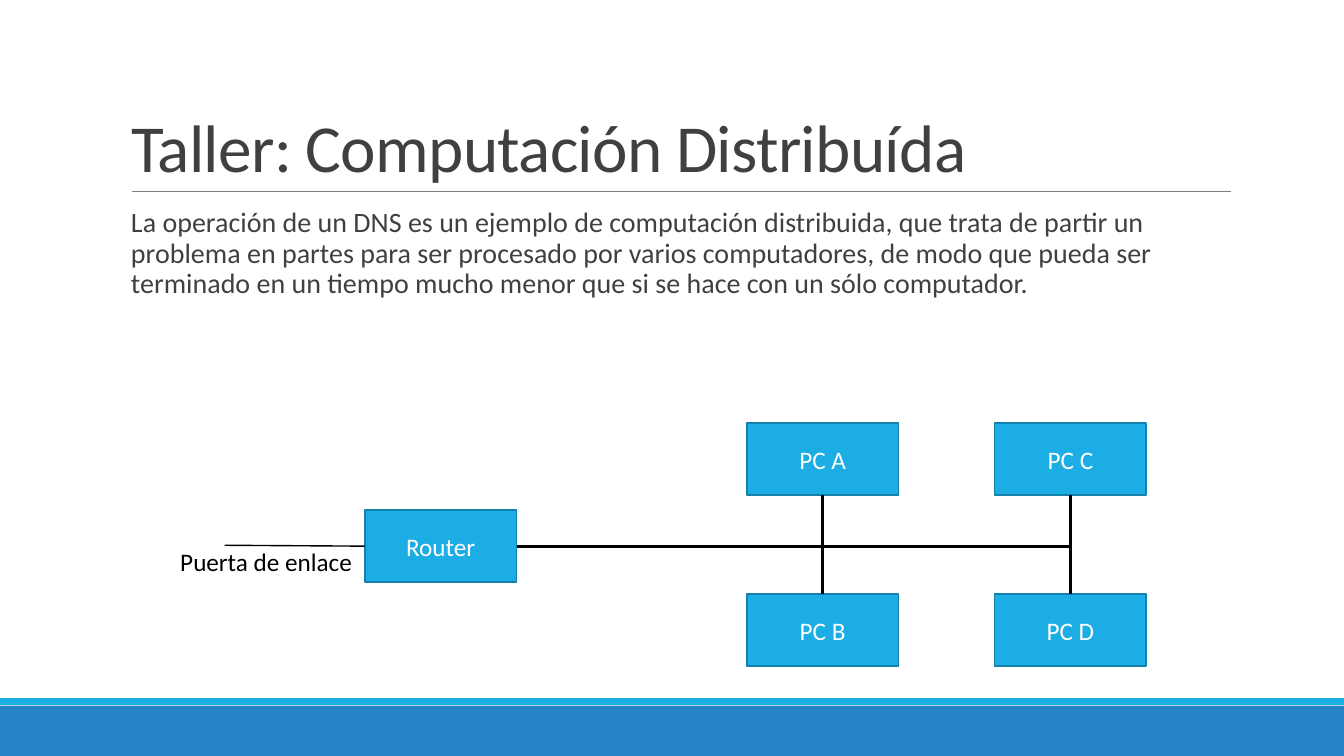
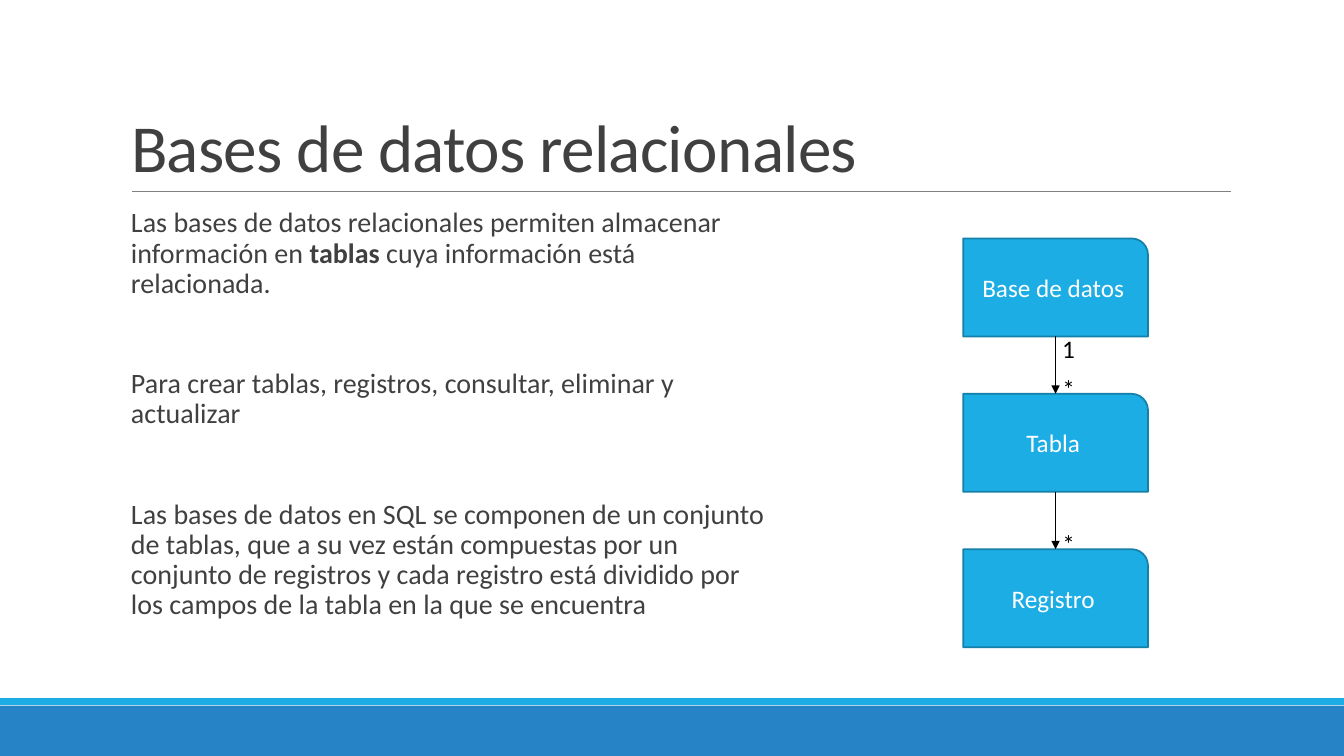
"""Builds two slides on distributed computing and relational databases."""
from dataclasses import dataclass
from typing import Any, Optional

from lxml import etree
from pptx import Presentation
from pptx.dml.color import RGBColor
from pptx.enum.shapes import MSO_CONNECTOR, MSO_SHAPE
from pptx.enum.text import MSO_ANCHOR, MSO_AUTO_SIZE, PP_ALIGN
from pptx.oxml.ns import qn
from pptx.shapes.autoshape import Shape
from pptx.shapes.connector import Connector
from pptx.slide import Slide
from pptx.util import Pt

RECT, ROUND1 = MSO_SHAPE.RECTANGLE, MSO_SHAPE.ROUND_1_RECTANGLE
STRAIGHT, ELBOW = MSO_CONNECTOR.STRAIGHT, MSO_CONNECTOR.ELBOW
TOP, MIDDLE, BOTTOM = MSO_ANCHOR.TOP, MSO_ANCHOR.MIDDLE, MSO_ANCHOR.BOTTOM
LEFT, CENTER = PP_ALIGN.LEFT, PP_ALIGN.CENTER
NO_FIT = MSO_AUTO_SIZE.NONE
SITE_TOP, SITE_LEFT, SITE_BOTTOM, SITE_RIGHT = range(4)

COLORS = {"band": "2683C6", "accent": "1CADE4", "edge": "1580A9", "rule": "808080",
          "text": "404040", "black": "000000", "white": "FFFFFF"}
WIDTH, HEIGHT = 960, 540
BODY_X, BODY_Y, BODY_H = 93.6, 145.5, 317


@dataclass(frozen=True)
class Style:
    """Format values for the frame, paragraphs and runs of a text."""
    color: str
    font: dict[str, Any]
    para: dict[str, Any]
    frame: dict[str, Any]


@dataclass(frozen=True)
class Box:
    """A filled box with centred text."""
    text: str
    x: float
    y: float
    w: float
    h: float
    kind: Any = RECT


@dataclass(frozen=True)
class Note:
    """A text box; each paragraph is a list of (text, bold) runs."""
    paras: list[list[tuple[str, bool]]]
    x: float
    y: float
    w: float
    h: float
    style: Style


NO_MARGINS = {"margin_left": 0, "margin_right": 0}
TITLE = Style("text", {"name": "Calibri", "size": Pt(48)},
              {"alignment": LEFT, "line_spacing": 0.85},
              {"vertical_anchor": BOTTOM, "word_wrap": True, "auto_size": NO_FIT})
BODY = Style("text", {"name": "Calibri", "size": Pt(20)},
             {"alignment": LEFT, "line_spacing": 0.9, "space_before": Pt(48), "space_after": Pt(2)},
             {"vertical_anchor": TOP, "word_wrap": True, **NO_MARGINS})
BOX = Style("white", {"name": "Calibri", "size": Pt(18)}, {"alignment": CENTER},
            {"vertical_anchor": MIDDLE, "word_wrap": True})
LABEL = Style("black", BOX.font, {"alignment": LEFT},
              {"vertical_anchor": TOP, "word_wrap": False})
MARK = Style("black", BOX.font, {"alignment": CENTER},
             {"vertical_anchor": TOP, "word_wrap": True, **NO_MARGINS})


def rgb(name: str) -> RGBColor:
    """Return the named colour."""
    return RGBColor.from_string(COLORS[name])


def apply(obj: Any, values: dict[str, Any]) -> None:
    """Set each format value on the object."""
    for key, value in values.items():
        setattr(obj, key, value)


def write(sp: Shape, paras: list[list[tuple[str, bool]]], style: Style) -> None:
    """Fill the text frame of a shape with styled paragraphs."""
    tf = sp.text_frame
    apply(tf, style.frame)
    for i, runs in enumerate(paras):
        p = tf.add_paragraph() if i else tf.paragraphs[0]
        apply(p, style.para)
        if not i:
            p.space_before = Pt(0)
        for text, bold in runs:
            r = p.add_run()
            r.text = text
            apply(r.font, {**style.font, "bold": bold})
            r.font.color.rgb = rgb(style.color)


def add_block(s: Slide, box: Box, fill: str, edge: Optional[str] = None) -> Shape:
    """Draw a filled shape, with an edge and text if given."""
    sp = s.shapes.add_shape(box.kind, Pt(box.x), Pt(box.y), Pt(box.w), Pt(box.h))
    sp.shadow.inherit = False
    sp.fill.solid()
    sp.fill.fore_color.rgb = rgb(fill)
    if edge:
        sp.line.color.rgb = rgb(edge)
        sp.line.width = Pt(1.25)
    else:
        sp.line.fill.background()
    if box.text:
        write(sp, [[(box.text, False)]], BOX)
    return sp


def add_note(s: Slide, note: Note) -> None:
    """Draw a text box."""
    sp = s.shapes.add_textbox(Pt(note.x), Pt(note.y), Pt(note.w), Pt(note.h))
    write(sp, note.paras, note.style)


def add_line(s: Slide, start: tuple[float, float], end: tuple[float, float], width: float,
             color: str = "black", kind: Any = STRAIGHT) -> Connector:
    """Draw a connector without a shadow."""
    x1, y1, x2, y2 = (Pt(v) for v in (*start, *end))
    sp = s.shapes.add_connector(kind, x1, y1, x2, y2)
    sp.line.color.rgb = rgb(color)
    sp.line.width = Pt(width)
    etree.SubElement(sp.element.spPr, qn("a:effectLst"))
    return sp


def join(s: Slide, a: Shape, a_site: int, b: Shape, b_site: int, width: float,
         kind: Any = STRAIGHT) -> Connector:
    """Connect two shapes at their connection sites."""
    sp = add_line(s, (0, 0), (0, 0), width, kind=kind)
    sp.begin_connect(a, a_site)
    sp.end_connect(b, b_site)
    if kind == ELBOW:
        sp.element.spPr.find(qn("a:prstGeom")).set("prst", "bentConnector2")
    return sp


def add_arrowhead(sp: Connector) -> None:
    """Put a triangle at the end of a connector."""
    ln = sp.element.spPr.find(qn("a:ln"))
    etree.SubElement(ln, qn("a:tailEnd")).set("type", "triangle")


def decorate(layout: Any, s: Slide) -> None:
    """Move the bands and the title rule into the shared layout."""
    for ph in list(layout.placeholders)[1:]:
        layout.shapes.element.remove(ph.element)
    for sp in (add_block(s, Box("", 0, 504, WIDTH, 36), "band"),
               add_block(s, Box("", 0, 498.75, WIDTH, 4.75), "accent"),
               add_line(s, (94.32, 136.8), (879.12, 136.8), 0.5, "rule")):
        layout.shapes.element.append(sp.element)


def add_slide(prs: Any, title: str) -> Slide:
    """Add a title-only slide with a formatted title."""
    layout = prs.slide_layouts[5]
    s = prs.slides.add_slide(layout)
    if len(prs.slides) == 1:
        decorate(layout, s)
    sp = s.shapes.title
    apply(sp, {"left": Pt(86.4), "top": Pt(22.3), "width": Pt(792), "height": Pt(114.5)})
    write(sp, [[(title, False)]], TITLE)
    for r in sp.text_frame.paragraphs[0].runs:
        r.font._element.set("spc", "-50")
    return s


def build_network(prs: Any) -> None:
    """Build the slide with the router and its computers."""
    s = add_slide(prs, "Taller: Computación Distribuída")
    add_note(s, Note([[(
        "La operación de un DNS es un ejemplo de computación distribuida, que trata de partir un "
        "problema en partes para ser procesado por varios computadores, de modo que pueda ser "
        "terminado en un tiempo mucho menor que si se hace con un sólo computador.", False)]],
        BODY_X, BODY_Y, 784.8, BODY_H, BODY))
    w, h = 108.5, 51.75
    router = add_block(s, Box("Router", 260.5, 364.25, w, h), "accent", "edge")
    gateway = add_line(s, (260.5, 390.1), (160.5, 389.5), 1)
    gateway.begin_connect(router, SITE_LEFT)
    add_note(s, Note([[("Puerta de enlace", False)]], 121.7, 386.6, 139, 29, LABEL))
    for i, letter in enumerate("ABCD"):
        col, row = divmod(i, 2)
        box = Box(f"PC {letter}", 533.4 + 177 * col, 302 + 122.25 * row, w, h)
        pc = add_block(s, box, "accent", "edge")
        join(s, router, SITE_RIGHT, pc, SITE_TOP if row else SITE_BOTTOM, 2.25, ELBOW)


def build_database(prs: Any) -> None:
    """Build the slide with the parts of a database."""
    s = add_slide(prs, "Bases de datos relacionales")
    add_note(s, Note([
        [("Las bases de datos relacionales permiten almacenar información en ", False),
         ("tablas", True), (" cuya información está relacionada.", False)],
        [("Para crear tablas, registros, consultar, eliminar y actualizar", False)],
        [("Las bases de datos en SQL se componen de un conjunto de tablas, que a su vez están "
          "compuestas por un conjunto de registros y cada registro está dividido por los campos "
          "de la tabla en la que se encuentra", False)]],
        BODY_X, BODY_Y, 460, BODY_H, BODY))
    x, top, w, h, pitch = 688, 170.3, 132, 70, 111
    parts = [add_block(s, Box(text, x, top + pitch * i, w, h, ROUND1), "accent", "edge")
             for i, text in enumerate(("Base de datos", "Tabla", "Registro"))]
    for upper, lower in zip(parts, parts[1:]):
        add_arrowhead(join(s, upper, SITE_BOTTOM, lower, SITE_TOP, 1))
    marks = [("1", top + h - 6)] + [("*", top + pitch * i - 18.3) for i in (1, 2)]
    for text, y in marks:
        add_note(s, Note([[(text, False)]], 752.5, y, 21.6, 29, MARK))


def main() -> None:
    """Build and save the presentation."""
    prs = Presentation()
    prs.slide_width, prs.slide_height = Pt(WIDTH), Pt(HEIGHT)
    build_network(prs)
    build_database(prs)
    prs.save("out.pptx")


main()
